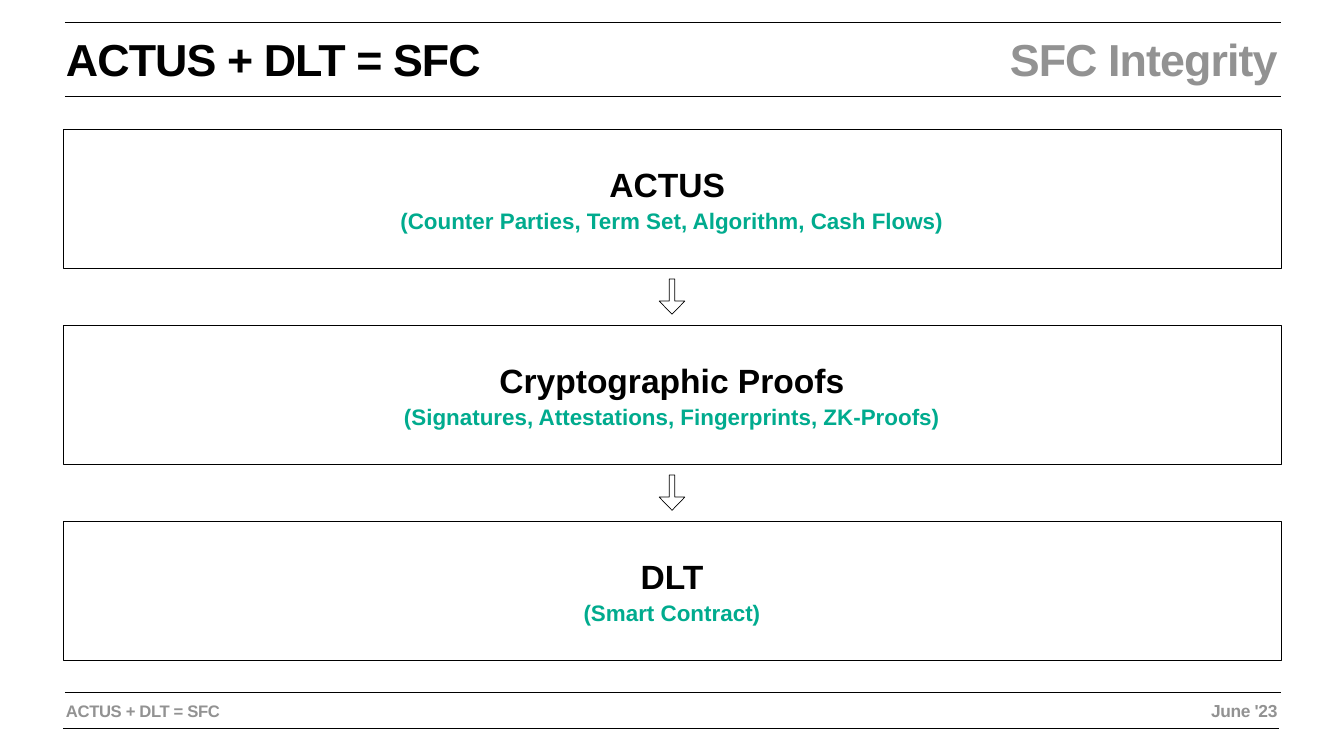
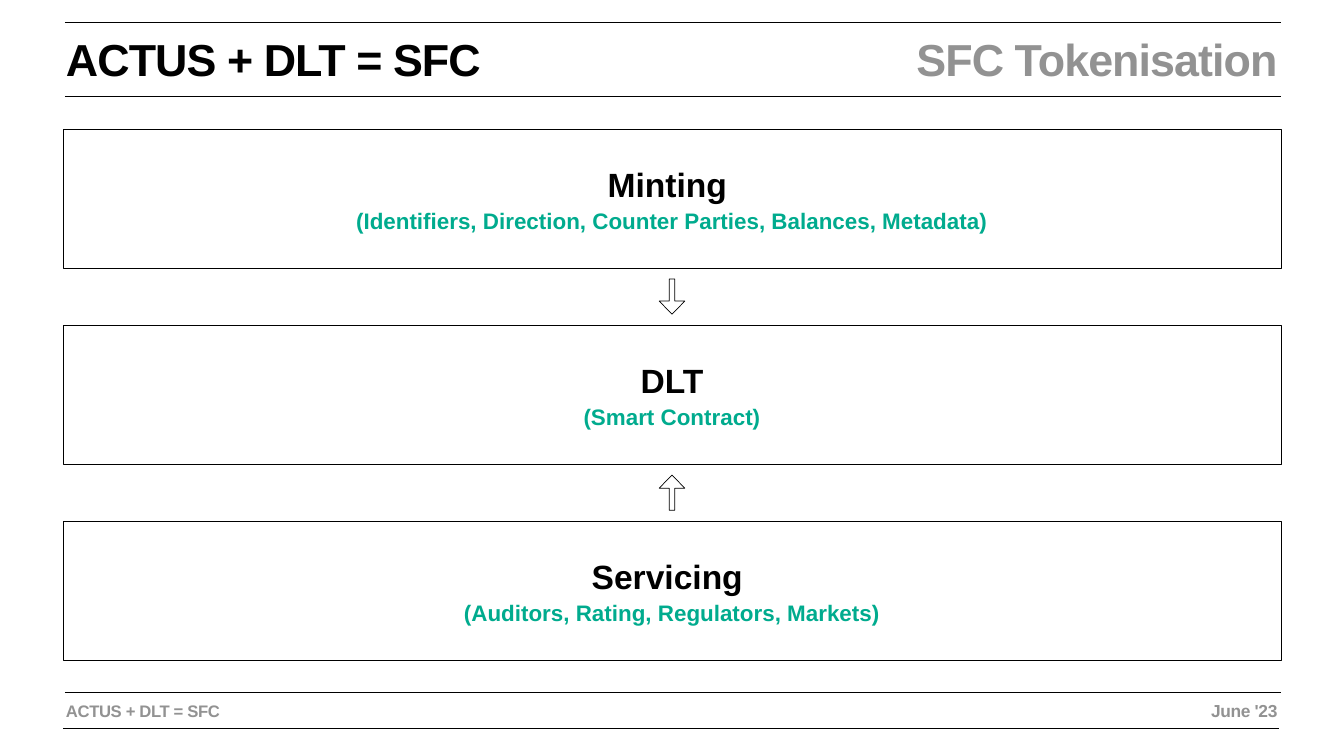
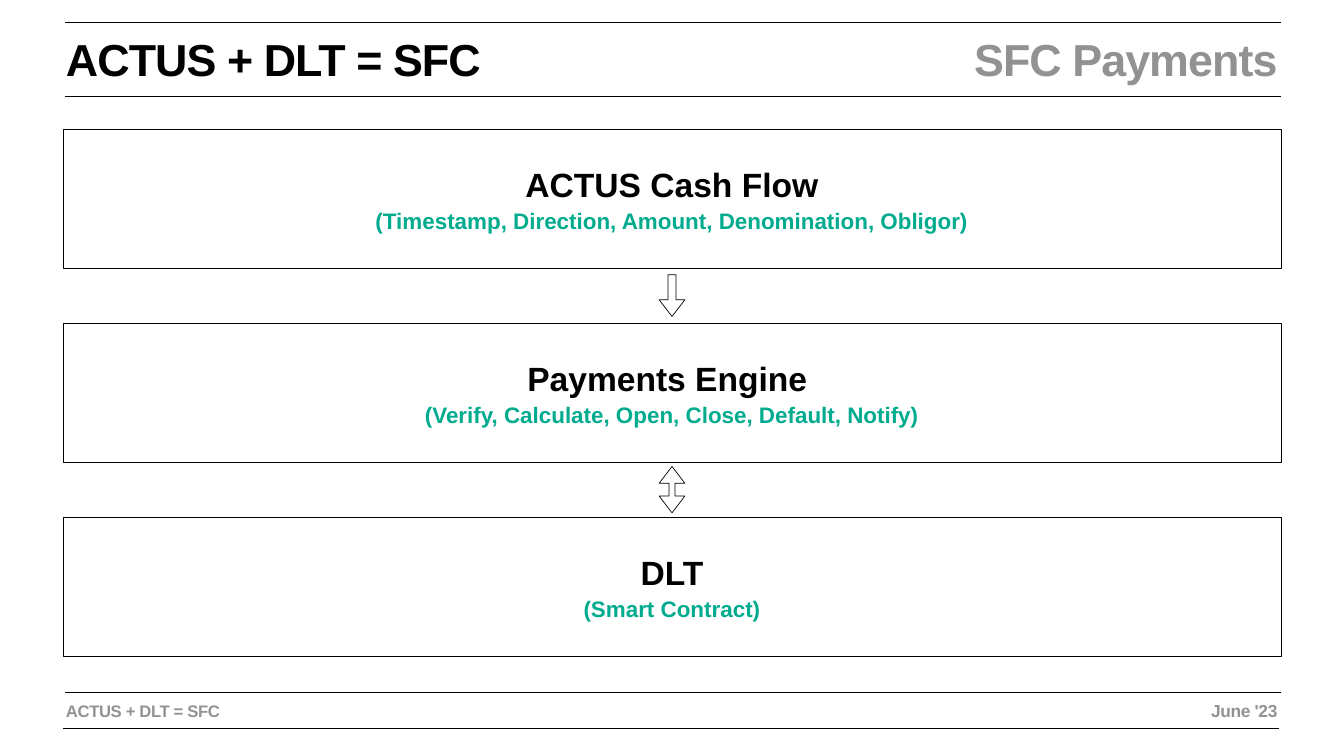
from dataclasses import dataclass
from itertools import pairwise

from pptx import Presentation
from pptx.dml.color import RGBColor
from pptx.enum.shapes import MSO_CONNECTOR, MSO_SHAPE
from pptx.enum.text import MSO_ANCHOR, PP_ALIGN
from pptx.oxml.ns import qn
from pptx.shapes.autoshape import Shape
from pptx.shapes.group import GroupShape
from pptx.slide import Slide
from pptx.text.text import TextFrame, _Paragraph
from pptx.util import Inches, Pt
from lxml.etree import SubElement

BLACK, WHITE, GREY, GREEN = "000000", "FFFFFF", "929292", "00AB8E"
FONT = "Arial"
DECK_TITLE = "ACTUS + DLT = SFC"
DATE = "June '23"
BOX_LEFT, BOX_TOP, BOX_WIDTH, BOX_HEIGHT = 1.25, 2.56, 24.17, 2.76
RULE_LEFT, RULE_WIDTH = 1.29, 24.13
TEXT_RIGHT = 25.41


@dataclass(frozen=True)
class TextStyle:
    """Look of a run; spacing is in points."""

    size: float
    color: str
    spacing: float = 0


@dataclass(frozen=True)
class Step:
    """Heading and details of one box."""

    heading: str
    details: str


@dataclass(frozen=True)
class Arrow:
    """Block arrow between two boxes, drawn lengthwise and then rotated."""

    preset: MSO_SHAPE
    rotation: int
    length: float
    adjustments: tuple[float, float]
    thickness: float = 0.51


@dataclass(frozen=True)
class Flow:
    """One slide: topic, steps from top to bottom and arrows between them."""

    topic: str
    pitch: float
    steps: tuple[Step, ...]
    arrows: tuple[Arrow, ...]


TITLE = TextStyle(64, BLACK, -1.3)
TOPIC = TextStyle(64, GREY, -1.3)
FOOTER = TextStyle(23.8, GREY, -0.5)
FOOTER_DATE = TextStyle(24.8, GREY, -0.5)
HEADING = TextStyle(48, BLACK)
DETAILS = TextStyle(32, GREEN)

DOWN = Arrow(MSO_SHAPE.RIGHT_ARROW, 90, 0.7, (0.22, 0.513))
UP = Arrow(MSO_SHAPE.RIGHT_ARROW, 270, 0.7, (0.22, 0.513))
LONG_DOWN = Arrow(MSO_SHAPE.RIGHT_ARROW, 90, 0.83, (0.311, 0.652))
BOTH_WAYS = Arrow(MSO_SHAPE.LEFT_RIGHT_ARROW, 90, 0.92, (0.231, 0.654))

LEDGER = Step("DLT", "(Smart Contract)")
FLOWS = (
    Flow(
        "SFC Integrity",
        3.89,
        (
            Step("ACTUS ", "(Counter Parties, Term Set, Algorithm, Cash Flows)"),
            Step("Cryptographic Proofs", "(Signatures, Attestations, Fingerprints, ZK-Proofs)"),
            LEDGER,
        ),
        (DOWN, DOWN),
    ),
    Flow(
        "SFC Tokenisation",
        3.89,
        (
            Step("Minting ", "(Identifiers, Direction, Counter Parties, Balances, Metadata)"),
            LEDGER,
            Step("Servicing ", "(Auditors, Rating, Regulators, Markets)"),
        ),
        (DOWN, UP),
    ),
    Flow(
        "SFC Payments",
        3.85,
        (
            Step("ACTUS Cash Flow", "(Timestamp, Direction, Amount, Denomination, Obligor)"),
            Step("Payments Engine ", "(Verify, Calculate, Open, Close, Default, Notify)"),
            LEDGER,
        ),
        (LONG_DOWN, BOTH_WAYS),
    ),
)


def rgb(color: str) -> RGBColor:
    """Turn a hex string into a colour."""
    return RGBColor.from_string(color)


def add_run(paragraph: _Paragraph, text: str, style: TextStyle) -> None:
    """Append a bold run in the given style."""
    run = paragraph.add_run()
    run.text = text
    run.font.name = FONT
    run.font.size = Pt(style.size)
    run.font.bold = True
    run.font.color.rgb = rgb(style.color)
    if style.spacing:
        run._r.get_or_add_rPr().set("spc", str(round(style.spacing * 100)))


def prepare_frame(frame: TextFrame, anchor: MSO_ANCHOR) -> None:
    """Wrap the text and set equal narrow margins."""
    frame.word_wrap = True
    frame.vertical_anchor = anchor
    frame.margin_left = frame.margin_right = Inches(0.06)
    frame.margin_top = frame.margin_bottom = Inches(0.06)


def add_rule(group: GroupShape, top: float, left: float = RULE_LEFT) -> None:
    """Draw a thin horizontal rule across the content width."""
    rule = group.shapes.add_connector(
        MSO_CONNECTOR.STRAIGHT, Inches(left), Inches(top), Inches(left + RULE_WIDTH), Inches(top)
    )
    rule.line.color.rgb = rgb(BLACK)
    rule.line.width = Pt(1)
    SubElement(rule._element.spPr, qn("a:effectLst"))


def add_label(
    group: GroupShape, text: str, style: TextStyle, left: float, top: float,
    width: float, height: float, alignment: PP_ALIGN = PP_ALIGN.LEFT,
) -> None:
    """Place one line of text in a band."""
    label = group.shapes.add_textbox(Inches(left), Inches(top), Inches(width), Inches(height))
    prepare_frame(label.text_frame, MSO_ANCHOR.TOP)
    paragraph = label.text_frame.paragraphs[0]
    paragraph.alignment = alignment
    add_run(paragraph, text, style)


def add_header(slide: Slide, topic: str) -> None:
    """Draw the title band with the deck title and the slide topic."""
    header = slide.shapes.add_group_shape()
    add_rule(header, 1.92)
    add_rule(header, 0.45)
    add_label(header, DECK_TITLE, TITLE, BOX_LEFT, 0.57, 11.04, 1.22)
    add_label(header, topic, TOPIC, TEXT_RIGHT - 16.67, 0.57, 16.67, 1.22, PP_ALIGN.RIGHT)


def add_footer(slide: Slide) -> None:
    """Draw the footer band with the deck title and the date."""
    footer = slide.shapes.add_group_shape()
    add_rule(footer, 14.46, 1.26)
    add_rule(footer, 13.74)
    add_label(footer, DECK_TITLE, FOOTER, BOX_LEFT, 13.84, 11.04, 0.52)
    add_label(footer, DATE, FOOTER_DATE, TEXT_RIGHT - 11.73, 13.84, 11.73, 0.53, PP_ALIGN.RIGHT)


def add_outlined(
    slide: Slide, preset: MSO_SHAPE, left: float, top: float, width: float, height: float
) -> Shape:
    """Draw a white preset shape with a thin black outline."""
    shape = slide.shapes.add_shape(preset, Inches(left), Inches(top), Inches(width), Inches(height))
    shape.shadow.inherit = False
    shape.fill.solid()
    shape.fill.fore_color.rgb = rgb(WHITE)
    shape.line.color.rgb = rgb(BLACK)
    shape.line.width = Pt(1)
    return shape


def add_step(slide: Slide, step: Step, top: float) -> None:
    """Draw a box with a heading above its details."""
    box = add_outlined(slide, MSO_SHAPE.RECTANGLE, BOX_LEFT, top, BOX_WIDTH, BOX_HEIGHT)
    frame = box.text_frame
    prepare_frame(frame, MSO_ANCHOR.MIDDLE)
    lines = (
        (frame.paragraphs[0], step.heading, HEADING),
        (frame.add_paragraph(), step.details, DETAILS),
    )
    for paragraph, text, style in lines:
        paragraph.alignment = PP_ALIGN.CENTER
        paragraph.space_before = Pt(4)
        add_run(paragraph, text, style)


def add_arrow(slide: Slide, arrow: Arrow, center_y: float) -> None:
    """Draw an arrow centred in the gap between two boxes."""
    center_x = BOX_LEFT + BOX_WIDTH / 2
    shape = add_outlined(
        slide, arrow.preset, center_x - arrow.length / 2, center_y - arrow.thickness / 2,
        arrow.length, arrow.thickness,
    )
    shape.rotation = arrow.rotation
    for index, value in enumerate(arrow.adjustments):
        shape.adjustments[index] = value


def add_flow(slide: Slide, flow: Flow) -> None:
    """Draw the whole slide."""
    add_header(slide, flow.topic)
    tops = [BOX_TOP + index * flow.pitch for index in range(len(flow.steps))]
    for step, top in zip(flow.steps, tops):
        add_step(slide, step, top)
    for arrow, (upper, lower) in zip(flow.arrows, pairwise(tops)):
        add_arrow(slide, arrow, (upper + BOX_HEIGHT + lower) / 2)
    add_footer(slide)


def main() -> None:
    """Build and save the presentation."""
    presentation = Presentation()
    presentation.slide_width = Inches(26.67)
    presentation.slide_height = Inches(15)
    for flow in FLOWS:
        add_flow(presentation.slides.add_slide(presentation.slide_layouts[6]), flow)
    presentation.save("out.pptx")


if __name__ == "__main__":
    main()
